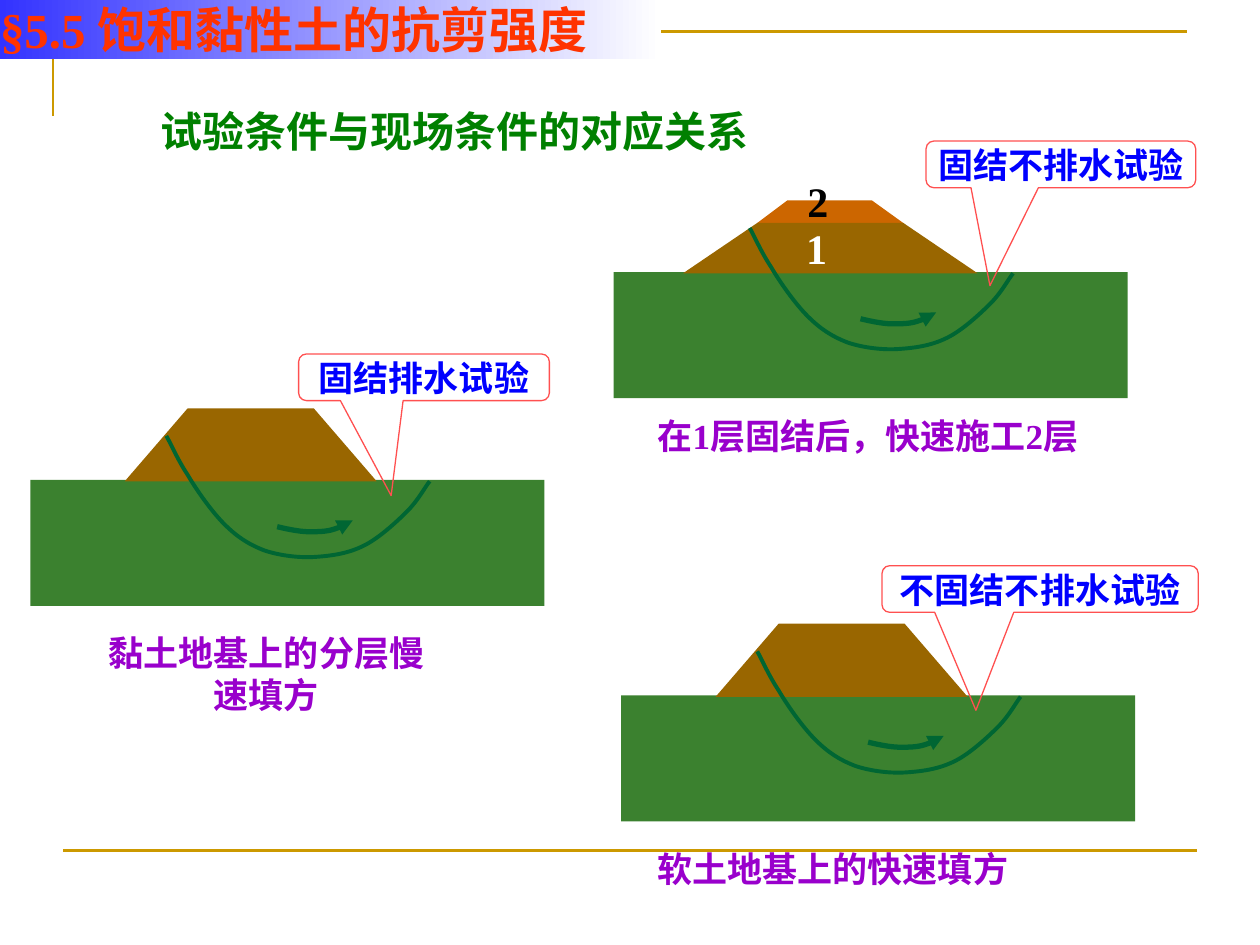
from lxml import etree
from pptx import Presentation
from pptx import util as u
from pptx.dml.color import RGBColor
from pptx.enum import shapes, text
from pptx.oxml.ns import qn

SANS, SERIF = "Noto Sans CJK SC", "Times New Roman"
GOLD, SOIL, TOP_SOIL, GROUND, SLIP = "CC9900", "996600", "CC6600", "3B812F", "006633"
PURPLE, BLUE, RED = "9900CC", "0000FF", "FF5050"

TITLE = "§5.5 饱和黏性土的抗剪强度"
HEADING = "试验条件与现场条件的对应关系"

WHOLE_BANK = [(SOIL, [(0.75, 0.01), (1.25, -0.57), (2.25, -0.57), (2.75, 0.01)])]
LAYERED_BANK = [
    (TOP_SOIL, [(1.14, -0.39), (1.38, -0.57), (2.05, -0.57), (2.3, -0.39)]),
    (SOIL, [(0.55, 0.01), (1.14, -0.39), (2.3, -0.39), (2.89, 0.01)]),
]
SCENES = [
    dict(origin=(0.24, 3.81), bank=WHOLE_BANK, labels=[],
         caption=("黏土地基上的分层慢速填方", (0.67, 4.96, 2.89, 0.77), "CENTER"),
         callout=("固结排水试验", (2.37, 2.81, 1.99, 0.37), (-0.131, 2.538))),
    dict(origin=(4.87, 2.16), bank=LAYERED_BANK,
         labels=[("1", (6.3, 1.72, 0.37, 0.5), "FFFFFF"),
                 ("2", (6.31, 1.34, 0.37, 0.5), "000000")],
         caption=("在1层固结后，快速施工2层", (5.12, 3.24, 3.97, 0.43), "LEFT"),
         callout=("固结不排水试验", (7.35, 1.12, 2.14, 0.37), (-0.263, 2.602))),
    dict(origin=(4.93, 5.52), bank=WHOLE_BANK, labels=[],
         caption=("软土地基上的快速填方", (5.12, 6.68, 3.69, 0.43), "LEFT"),
         callout=("不固结不排水试验", (7, 4.49, 2.51, 0.37), (-0.203, 2.602))),
]
SLIP_CURVE = [
    (1.08, -0.35), (1.11, -0.3), (1.17, -0.16), (1.25, -0.04),
    (1.32, 0.08), (1.44, 0.25), (1.54, 0.35), (1.64, 0.45), (1.73, 0.51), (1.86, 0.56),
    (1.98, 0.6), (2.14, 0.62), (2.27, 0.61), (2.41, 0.6), (2.53, 0.58), (2.65, 0.52),
    (2.77, 0.46), (2.91, 0.33), (2.99, 0.25), (3.08, 0.16), (3.13, 0.06), (3.17, 0.01),
]
MOTION_CURVE = [
    (1.96, 0.37), (2, 0.38), (2.13, 0.41), (2.21, 0.41), (2.28, 0.41),
    (2.35, 0.41), (2.41, 0.39), (2.47, 0.37), (2.52, 0.35), (2.56, 0.32),
]


def color(value):
    return RGBColor.from_string(value)


def inches(values):
    return [u.Inches(value) for value in values]


def style(shape, fill=None, line=None, width=1.0):
    shape.shadow.inherit = False
    if fill:
        shape.fill.solid()
        shape.fill.fore_color.rgb = color(fill)
    else:
        shape.fill.background()
    if line:
        shape.line.color.rgb = color(line)
        shape.line.width = u.Pt(width)
    else:
        shape.line.fill.background()


def write(box, words, size, ink, font=SERIF, align="LEFT", inset=(0, 0), wrap=True):
    frame = box.text_frame
    frame.word_wrap = wrap
    frame.auto_size = text.MSO_AUTO_SIZE.NONE
    frame.vertical_anchor = text.MSO_ANCHOR.MIDDLE
    frame.margin_left = frame.margin_right = u.Inches(inset[0])
    frame.margin_top = frame.margin_bottom = u.Inches(inset[1])
    para = frame.paragraphs[0]
    para.alignment = getattr(text.PP_ALIGN, align)
    span = para.add_run()
    span.text = words
    span.font.size, span.font.bold, span.font.name = u.Pt(size), True, font
    span.font.color.rgb = color(ink)
    etree.SubElement(span.font._element, qn("a:ea"), typeface=SANS)


def add_text(page, words, place, size, ink, **options):
    write(page.shapes.add_textbox(*inches(place)), words, size, ink, **options)


def add_outline(page, points, origin=(0, 0), closed=False, **look):
    spots = [inches((x + origin[0], y + origin[1])) for x, y in points]
    builder = page.shapes.build_freeform(*spots[0])
    builder.add_line_segments(spots[1:], close=closed)
    outline = builder.convert_to_shape()
    style(outline, **look)
    return outline


def add_curve(page, points, origin, width, arrow=False):
    curve = add_outline(page, points, origin, line=SLIP, width=width)
    route = curve._element.find(".//" + qn("a:path"))
    steps = route.findall(qn("a:lnTo"))
    for start in range(0, len(steps), 3):
        bend = etree.SubElement(route, qn("a:cubicBezTo"))
        for step in steps[start:start + 3]:
            bend.append(step[0])
            route.remove(step)
    if arrow:
        etree.SubElement(curve.line._get_or_add_ln(), qn("a:tailEnd"), type="triangle")


def add_scene(page, scene):
    origin = scene["origin"]
    ground = page.shapes.add_shape(shapes.MSO_SHAPE.RECTANGLE, *inches((*origin, 4.08, 1)))
    style(ground, fill=GROUND)
    for fill, points in scene["bank"]:
        add_outline(page, points, origin, closed=True, fill=fill)
    add_curve(page, SLIP_CURVE, origin, 2.25)
    add_curve(page, MOTION_CURVE, origin, 3, arrow=True)
    for words, place, ink in scene["labels"]:
        add_text(page, words, place, 24, ink, inset=(0.1, 0.05), wrap=False)
    words, place, align = scene["caption"]
    add_text(page, words, place, 20, PURPLE, align=align, inset=(0.1, 0.05))


def add_callout(page, words, place, tip):
    callout = page.shapes.add_shape(
        shapes.MSO_SHAPE.ROUNDED_RECTANGULAR_CALLOUT, *inches(place))
    for index, value in enumerate((*tip, 0.167)):
        callout.adjustments[index] = value
    style(callout, line=RED, width=0.75)
    write(callout, words, 20, BLUE, font=SANS, align="CENTER")


def add_title(page):
    title = page.shapes.title
    title.left, title.top, title.width, title.height = inches((0, -0.01, 5.25, 0.48))
    title.fill.gradient()
    title.fill.gradient_angle = 0
    for stop, shade, position in zip(title.fill.gradient_stops, ("3333FF", "FFFFFF"), (0, 1)):
        stop.color.rgb = color(shade)
        stop.position = position
    write(title, TITLE, 28, "FF3300")
    title._element.getparent().append(title._element)


def main():
    deck = Presentation()
    deck.slide_width, deck.slide_height = inches((10, 7.5))
    page = deck.slides.add_slide(deck.slide_layouts[5])
    add_outline(page, [(0.42, 0.92), (0.42, 0.25), (9.42, 0.25)], line=GOLD, width=1.5)
    rule = page.shapes.add_connector(
        shapes.MSO_CONNECTOR.STRAIGHT, *inches((0.5, 6.75, 9.5, 6.75)))
    rule.line.color.rgb = color(GOLD)
    rule.line.width = u.Pt(1.5)
    etree.SubElement(rule._element.spPr, qn("a:effectLst"))
    add_text(page, HEADING, (0.35, 0.84, 6.52, 0.4), 24, "008000", font=SANS, align="CENTER")
    for scene in SCENES:
        add_scene(page, scene)
    for scene in SCENES:
        add_callout(page, *scene["callout"])
    add_title(page)
    deck.save("out.pptx")


if __name__ == "__main__":
    main()
